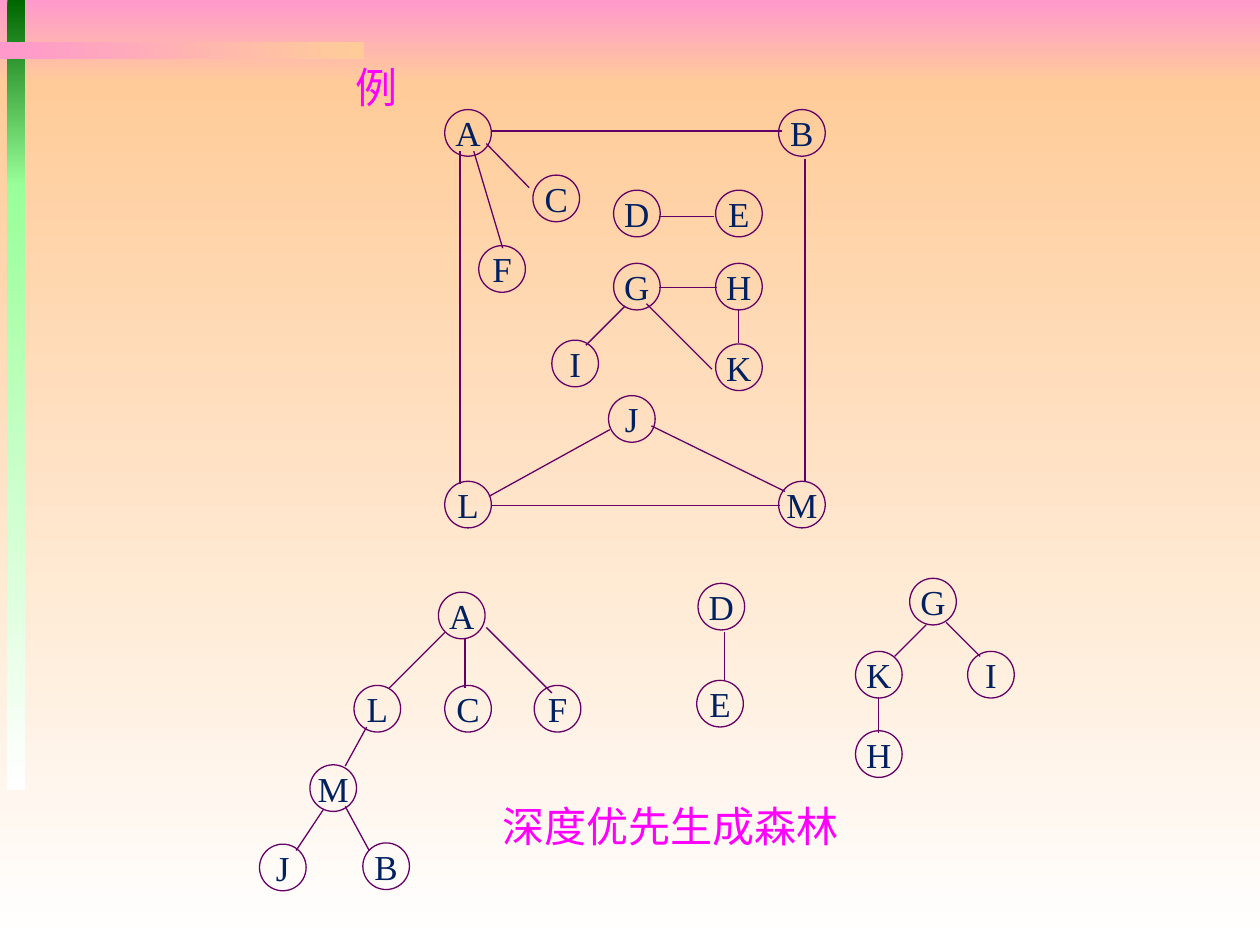
from dataclasses import dataclass

from lxml.etree import SubElement
from pptx import Presentation
from pptx.dml.color import RGBColor
from pptx.enum.shapes import MSO_CONNECTOR, MSO_SHAPE
from pptx.enum.text import MSO_ANCHOR, MSO_AUTO_SIZE, PP_ALIGN
from pptx.oxml.ns import qn
from pptx.util import Inches, Pt


@dataclass(frozen=True)
class Theme:
    font: str = "Times New Roman"
    heading_size: float = 24
    node_size: float = 20
    line_width: float = 0.75
    heading: str = "FF00FF"
    node_text: str = "002060"
    line: str = "660066"
    pink: str = "FF99CC"
    peach: str = "FFCC99"
    dark_green: str = "006600"
    light_green: str = "99FF99"
    white: str = "FFFFFF"


THEME = Theme()
COLUMNS, ROWS = 100, 75
CELL = Inches(0.1)
NODE = 3.7
DOWN, ACROSS = 270, 0

# Each diagram: its box, node corners and edge ends, in cells from the box corner.
GRAPH = dict(
    box=(35.3, 8.7, 30.2, 33.2),
    nodes=[("A", 0, 0), ("B", 26.5, 0), ("L", 0, 29.5), ("M", 26.5, 29.5),
           ("C", 7, 5.2), ("F", 2.7, 10.8), ("D", 13.4, 6.4), ("E", 21.5, 6.4),
           ("G", 13.4, 12.2), ("H", 21.5, 12.2), ("K", 21.5, 18.6),
           ("I", 8.5, 18.3), ("J", 13, 22.7)],
    edges=[(17, 8.5, 21.4, 8.5), (17, 14.1, 21.6, 14.1), (23.3, 15.8, 23.3, 18.5),
           (16, 15.4, 21.2, 20.6), (14.3, 15.6, 11.2, 18.7), (3.3, 2.7, 6.7, 6.2),
           (2.3, 3.3, 4.6, 11), (3.7, 1.7, 26.8, 1.7), (1.2, 3.3, 1.2, 29.7),
           (3.7, 31.4, 26.6, 31.4), (28.6, 3.9, 28.6, 29.5),
           (3.5, 30.7, 13.1, 25.4), (16.4, 25.1, 27, 30.3)],
)
FOREST = [
    dict(
        box=(20.6, 47, 25.5, 23.7),
        nodes=[("A", 14.2, 0), ("B", 8.2, 19.9), ("L", 7.5, 7.4), ("M", 4, 13.7),
               ("C", 14.7, 7.4), ("F", 21.8, 7.4), ("J", 0, 20)],
        edges=[(16.3, 3.7, 16.3, 7.6), (14.7, 3.2, 10.3, 7.6), (18, 2.8, 23.2, 8),
               (8.5, 10.7, 6.8, 13.8), (5.1, 17.2, 2.9, 20.5), (6.8, 17, 8.7, 20.5)],
    ),
    dict(
        box=(55.3, 46.3, 3.8, 11.4),
        nodes=[("D", 0.1, 0), ("E", 0, 7.7)],
        edges=[(2.2, 3.9, 2.2, 7.7)],
    ),
    dict(
        box=(67.9, 45.9, 12.6, 15.8),
        nodes=[("G", 4.3, 0), ("H", 0, 12.1), ("K", 0, 5.8), ("I", 8.9, 5.8)],
        edges=[(5.6, 3.7, 3.1, 6.2), (1.8, 9.4, 1.8, 12.3), (7.2, 3.5, 9.9, 6.2)],
    ),
]


def cells(*values):
    return [round(value * CELL) for value in values]


def color(name):
    return RGBColor.from_string(getattr(THEME, name))


def write_text(shape, text, *, size, color_name):
    """Put one centred, unwrapped line of text in the shape."""
    frame = shape.text_frame
    frame.auto_size = MSO_AUTO_SIZE.NONE
    frame.word_wrap = False
    frame.vertical_anchor = MSO_ANCHOR.MIDDLE
    frame.margin_left = frame.margin_right = 0
    frame.margin_top = frame.margin_bottom = 0
    paragraph = frame.paragraphs[0]
    paragraph.alignment = PP_ALIGN.CENTER
    run = paragraph.add_run()
    run.text = text
    run.font.name = THEME.font
    run.font.size = Pt(size)
    run.font.color.rgb = color(color_name)


def add_band(slide, box, start, end, angle):
    band = slide.shapes.add_shape(MSO_SHAPE.RECTANGLE, *cells(*box))
    band.shadow.inherit = False
    band.line.fill.background()
    band.fill.gradient()
    band.fill.gradient_angle = angle
    for stop, name, position in zip(band.fill.gradient_stops, (start, end), (0, 1)):
        stop.color.rgb = color(name)
        stop.position = position


def add_backdrop(slide, box):
    left, top, width, height = box
    sky, stripe, stripe_width = 6.7, 14.6, 1.4
    stripe_left = left + 0.6
    add_band(slide, (left, top, width, sky), "pink", "peach", DOWN)
    add_band(slide, (left, top + sky, width, height - sky), "peach", "white", DOWN)
    add_band(slide, (stripe_left, top, stripe_width, stripe + 0.2),
             "dark_green", "light_green", DOWN)
    add_band(slide, (stripe_left, top + stripe, stripe_width, 48.1),
             "light_green", "white", DOWN)
    add_band(slide, (left, top + 3.3, 28.9, 1.4), "pink", "peach", ACROSS)


def add_title(slide, box, text):
    title = slide.shapes.title
    slide.shapes.element.append(title.element)  # bring in front of the backdrop
    title.left, title.top, title.width, title.height = cells(*box)
    write_text(title, text, size=THEME.heading_size, color_name="heading")


def add_caption(slide, box, text):
    caption = slide.shapes.add_textbox(*cells(*box))
    write_text(caption, text, size=THEME.heading_size, color_name="heading")


def add_node(slide, left, top, label):
    node = slide.shapes.add_shape(MSO_SHAPE.OVAL, *cells(left, top, NODE, NODE))
    node.shadow.inherit = False
    node.fill.background()
    node.line.color.rgb = color("line")
    node.line.width = Pt(THEME.line_width)
    write_text(node, label, size=THEME.node_size, color_name="node_text")


def add_edge(slide, *ends):
    edge = slide.shapes.add_connector(MSO_CONNECTOR.STRAIGHT, *cells(*ends))
    edge.line.color.rgb = color("line")
    edge.line.width = Pt(THEME.line_width)
    SubElement(edge.element.spPr, qn("a:effectLst"))


def add_diagram(slide, box, nodes, edges):
    left, top = box[:2]
    for label, column, row in nodes:
        add_node(slide, left + column, top + row, label)
    for x1, y1, x2, y2 in edges:
        add_edge(slide, left + x1, top + y1, left + x2, top + y2)


def main():
    presentation = Presentation()
    presentation.slide_width, presentation.slide_height = cells(COLUMNS, ROWS)
    slide = presentation.slides.add_slide(presentation.slide_layouts[5])
    add_backdrop(slide, (0, 0, COLUMNS, ROWS))
    add_title(slide, (27.2, 4.3, 5.4, 5.1), "例")
    for diagram in (GRAPH, *FOREST):
        add_diagram(slide, **diagram)
    add_caption(slide, (38.8, 63, 28.9, 5.1), "深度优先生成森林")
    presentation.save("out.pptx")


if __name__ == "__main__":
    main()
